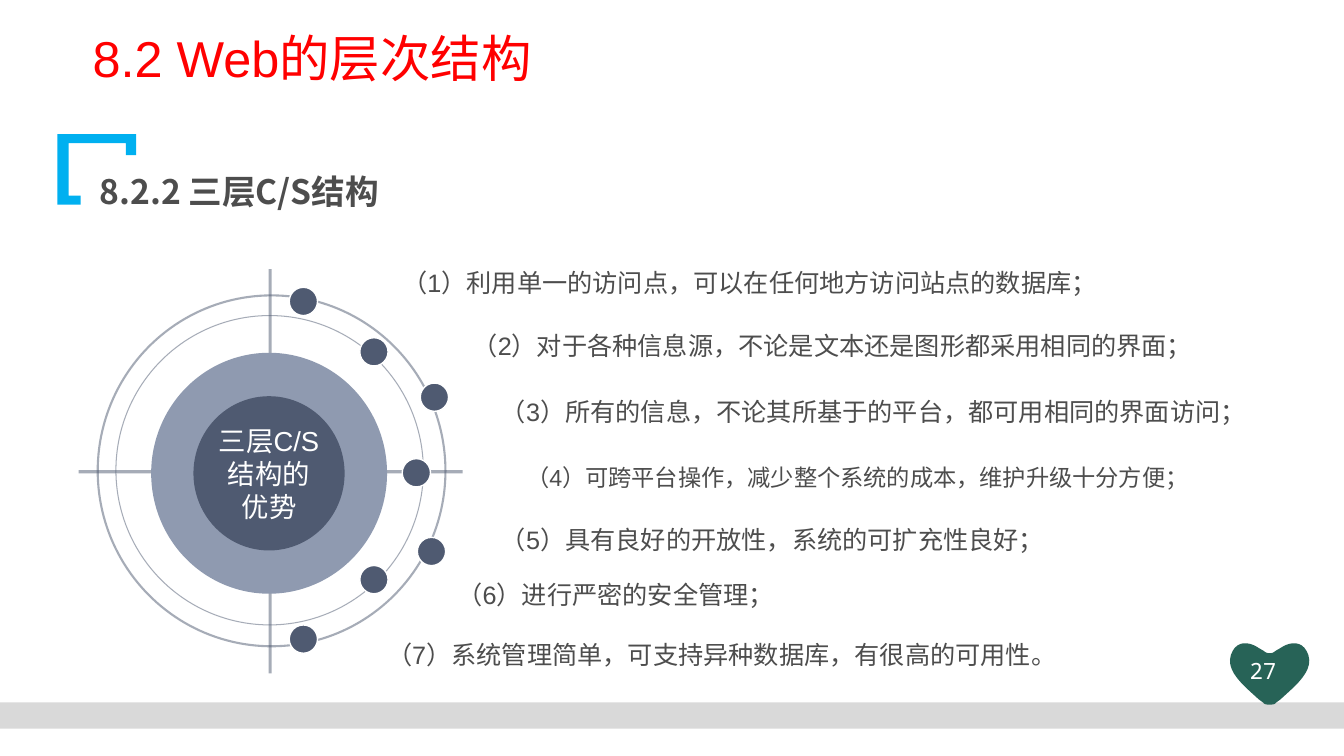
from typing import NamedTuple

from lxml.etree import SubElement
from pptx import Presentation
from pptx.dml.color import RGBColor
from pptx.enum.shapes import MSO_CONNECTOR, MSO_SHAPE
from pptx.enum.text import MSO_ANCHOR, MSO_AUTO_SIZE, PP_ALIGN
from pptx.oxml.ns import qn
from pptx.util import Pt

RED = RGBColor(0xFF, 0x00, 0x00)
SKY = RGBColor(0x00, 0xB0, 0xF0)
GREEN = RGBColor(0x27, 0x63, 0x57)
WHITE = RGBColor(0xFF, 0xFF, 0xFF)
LIGHT_GRAY = RGBColor(0xD9, 0xD9, 0xD9)
TEXT_GRAY = RGBColor(0x4D, 0x4D, 0x4D)
SLATE = RGBColor(0x4F, 0x5A, 0x71)
PALE_SLATE = RGBColor(0x8F, 0x9A, 0xB0)
CJK_FONT = "Noto Sans CJK SC"
DOT_SIZE = 20.2
HEART_CENTER = 906.9


class Box(NamedTuple):
    left: float
    top: float
    width: float
    height: float

    def lengths(self) -> list:
        return [Pt(value) for value in self]


class Advantage(NamedTuple):
    text: str
    box: Box
    dot: tuple
    size: float = 18
    line_spacing: float = 1.3
    inset: float = 0
    wrap: bool = True


class Disc(NamedTuple):
    box: Box
    fill: RGBColor | None = None
    line_width: float = 0


ADVANTAGES = [
    Advantage("（1）利用单一的访问点，可以在任何地方访问站点的数据库；",
              Box(287.3, 180.7, 630, 51.8), (206.6, 205.2)),
    Advantage("（2）对于各种信息源，不论是文本还是图形都采用相同的界面；",
              Box(330.5, 232.6, 528.5, 28.8), (257, 241.2),
              line_spacing=1, inset=7.2, wrap=False),
    Advantage("（3）所有的信息，不论其所基于的平台，都可用相同的界面访问；",
              Box(357.8, 272.9, 570.2, 48.2), (300.2, 273.6)),
    Advantage("（4）可跨平台操作，减少整个系统的成本，维护升级十分方便；",
              Box(375.8, 321.1, 498.2, 43.2), (287.3, 327.6), size=16.6),
    Advantage("（5）具有良好的开放性，系统的可扩充性良好；",
              Box(357.8, 364.3, 570.2, 38.2), (298.1, 383.8)),
    Advantage("（6）进行严密的安全管理；",
              Box(319.7, 403.9, 240.5, 35.3), (257, 403.9), inset=7.2, wrap=False),
    Advantage("（7）系统管理简单，可支持异种数据库，有很高的可用性。",
              Box(276.5, 446.4, 640.8, 67.7), (206.6, 446.4)),
]
RINGS = [
    Disc(Box(69.8, 211, 248.4, 250.6), line_width=1.5),
    Disc(Box(82.8, 225.4, 219.6, 221), line_width=0.75),
]
CORES = [
    Disc(Box(108, 252, 168.5, 172.1), PALE_SLATE),
    Disc(Box(138.2, 283, 108, 110.2), SLATE),
]
AXES = [(56.2, 337, 330.5, 337), (193, 192.2, 193, 481)]
BRACKET = [(41, 95.8), (97.2, 95.8), (97.2, 110.9), (90, 110.9), (90, 102.2),
           (49, 102.2), (49, 139.7), (57.6, 139.7), (57.6, 146.2), (41, 146.2)]
# Right half of the heart: offsets from its axis, as cubic curves
HEART_CURVES = [
    [(0, 466.6), (2.2, 466.6), (3.2, 465.8), (4, 465.1)],
    [(7.6, 463), (14.8, 458), (24.1, 457.2), (27.7, 468)],
    [(27.7, 468), (31.3, 479.5), (18.7, 489.6), (7.6, 499.7)],
    [(4.7, 501.8), (3.6, 503.3), (2, 503.3), (0, 503.3)],
]


def write_text(shape, text: str, line_spacing: float = 1, inset_x: float = 7.2,
               inset_y: float = 3.6, wrap: bool = True, anchor=MSO_ANCHOR.TOP,
               alignment=PP_ALIGN.LEFT, color: RGBColor = TEXT_GRAY, **font_values) -> None:
    frame = shape.text_frame
    frame_values = {
        "word_wrap": wrap, "auto_size": MSO_AUTO_SIZE.NONE, "vertical_anchor": anchor,
        "margin_left": Pt(inset_x), "margin_right": Pt(inset_x),
        "margin_top": Pt(inset_y), "margin_bottom": Pt(inset_y),
    }
    for name, value in frame_values.items():
        setattr(frame, name, value)
    paragraph = frame.paragraphs[0]
    paragraph.alignment = alignment
    paragraph.line_spacing = line_spacing
    run = paragraph.add_run()
    run.text = text
    for name, value in {"name": "Arial", "bold": False, **font_values}.items():
        setattr(run.font, name, value)
    run.font.color.rgb = color
    SubElement(run.font._element, qn("a:ea"), typeface=CJK_FONT)


def add_filled(slide, kind, box: Box, color: RGBColor):
    shape = slide.shapes.add_shape(kind, *box.lengths())
    paint(shape, color)
    return shape


def paint(shape, color: RGBColor) -> None:
    shape.shadow.inherit = False
    shape.fill.solid()
    shape.fill.fore_color.rgb = color
    shape.line.fill.background()


def stroke_half_clear(shape, width: float) -> None:
    shape.line.color.rgb = SLATE
    shape.line.width = Pt(width)
    color = shape._element.find(".//" + qn("a:srgbClr"))
    SubElement(color, qn("a:alpha"), val="50000")


def add_outline(slide, points: list, color: RGBColor) -> None:
    vertices = [(Pt(x), Pt(y)) for x, y in points]
    builder = slide.shapes.build_freeform(*vertices[0])
    builder.add_line_segments(vertices[1:], close=True)
    paint(builder.convert_to_shape(), color)


def curve_points(curve: list, steps: int = 10) -> list:
    points = []
    for step in range(steps + 1):
        t = step / steps
        weights = ((1 - t) ** 3, 3 * t * (1 - t) ** 2, 3 * t ** 2 * (1 - t), t ** 3)
        points.append(tuple(sum(weight * point[axis] for weight, point in zip(weights, curve))
                            for axis in (0, 1)))
    return points


def add_ring(slide, ring: Disc) -> None:
    shape = slide.shapes.add_shape(MSO_SHAPE.OVAL, *ring.box.lengths())
    shape.shadow.inherit = False
    shape.fill.background()
    stroke_half_clear(shape, ring.line_width)


def add_axis(slide, ends: tuple) -> None:
    axis = slide.shapes.add_connector(MSO_CONNECTOR.STRAIGHT, *[Pt(end) for end in ends])
    stroke_half_clear(axis, 2.25)
    SubElement(axis._element.spPr, qn("a:effectLst"))


def add_advantage(slide, advantage: Advantage) -> None:
    dot = add_filled(slide, MSO_SHAPE.OVAL, Box(*advantage.dot, DOT_SIZE, DOT_SIZE), SLATE)
    dot.line.color.rgb = WHITE
    dot.line.width = Pt(1)
    label = slide.shapes.add_textbox(*advantage.box.lengths())
    write_text(label, advantage.text, advantage.line_spacing, inset_x=advantage.inset,
               wrap=advantage.wrap, size=Pt(advantage.size))


def main() -> None:
    presentation = Presentation()
    presentation.slide_width, presentation.slide_height = Pt(960), Pt(540)
    slide = presentation.slides.add_slide(presentation.slide_layouts[5])

    # Title and section heading
    title = slide.shapes.title
    title.left, title.top, title.width, title.height = Box(59, 20.9, 662.4, 67.7).lengths()
    write_text(title, "8.2 Web的层次结构", 0.9, color=RED, size=Pt(36))
    add_outline(slide, BRACKET, SKY)
    heading = slide.shapes.add_textbox(*Box(64.1, 110.2, 455, 44.6).lengths())
    write_text(heading, "8.2.2 三层C/S结构", 1.3, name=CJK_FONT, size=Pt(24), bold=True)

    # Footer band and page number
    add_filled(slide, MSO_SHAPE.RECTANGLE, Box(0, 501.8, 960, 18.7), LIGHT_GRAY)
    right_half = [point for curve in HEART_CURVES for point in curve_points(curve)]
    heart = [(HEART_CENTER + x, y) for x, y in right_half]
    heart += [(HEART_CENTER - x, y) for x, y in reversed(right_half)]
    add_outline(slide, heart, GREEN)
    page_number = slide.shapes.add_textbox(*Box(877, 465.8, 50.4, 28.1).lengths())
    write_text(page_number, "27", alignment=PP_ALIGN.CENTER, color=WHITE,
               name="Noto Sans Mono", size=Pt(16))

    # Target diagram
    for ring in RINGS:
        add_ring(slide, ring)
    for ends in AXES:
        add_axis(slide, ends)
    discs = [add_filled(slide, MSO_SHAPE.OVAL, core.box, core.fill) for core in CORES]
    write_text(discs[-1], "三层C/S结构的优势", inset_x=0, inset_y=0, anchor=MSO_ANCHOR.MIDDLE,
               alignment=PP_ALIGN.CENTER, color=WHITE, size=Pt(19.6))

    # Advantages around the rings
    for advantage in ADVANTAGES:
        add_advantage(slide, advantage)

    presentation.save("out.pptx")


if __name__ == "__main__":
    main()
